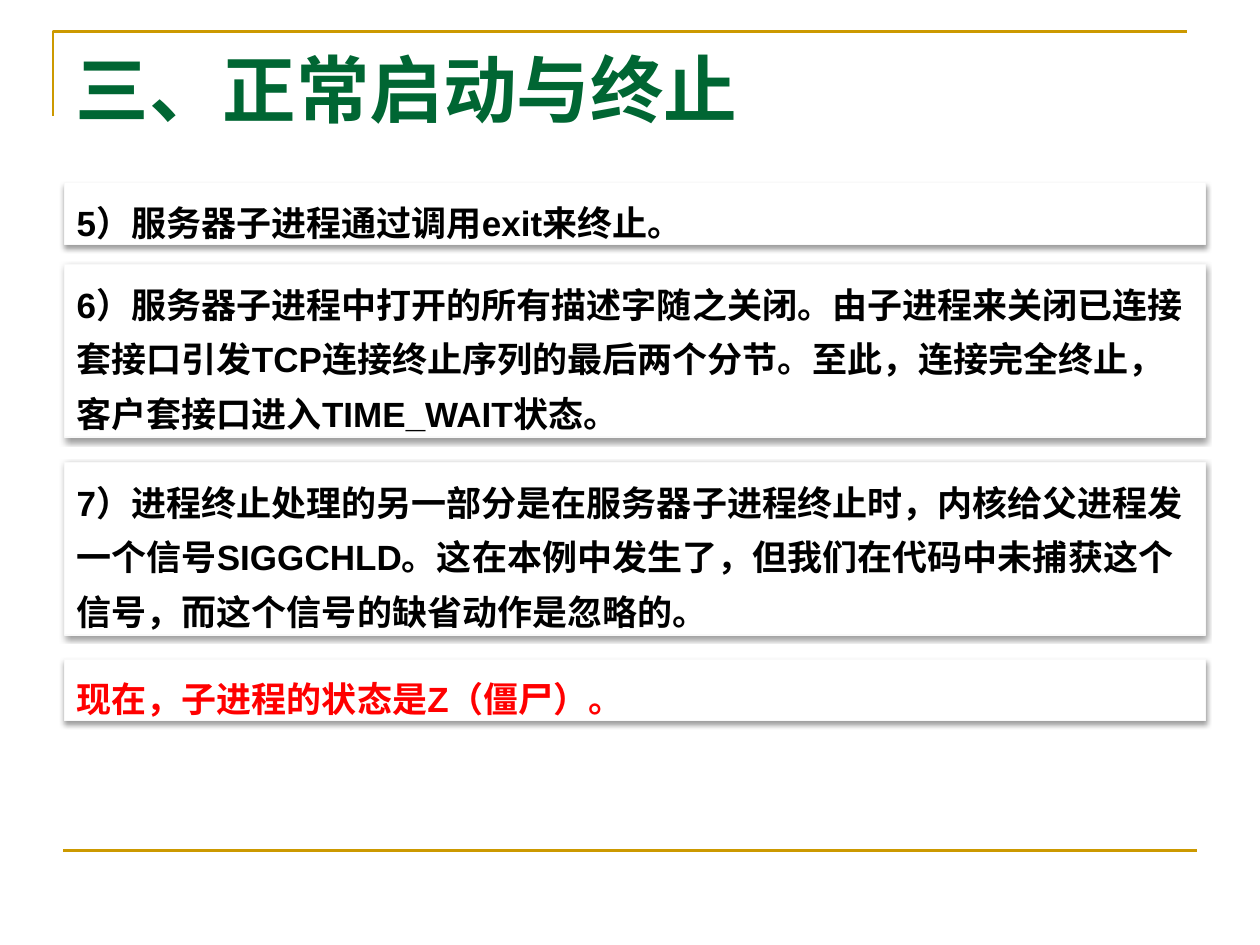
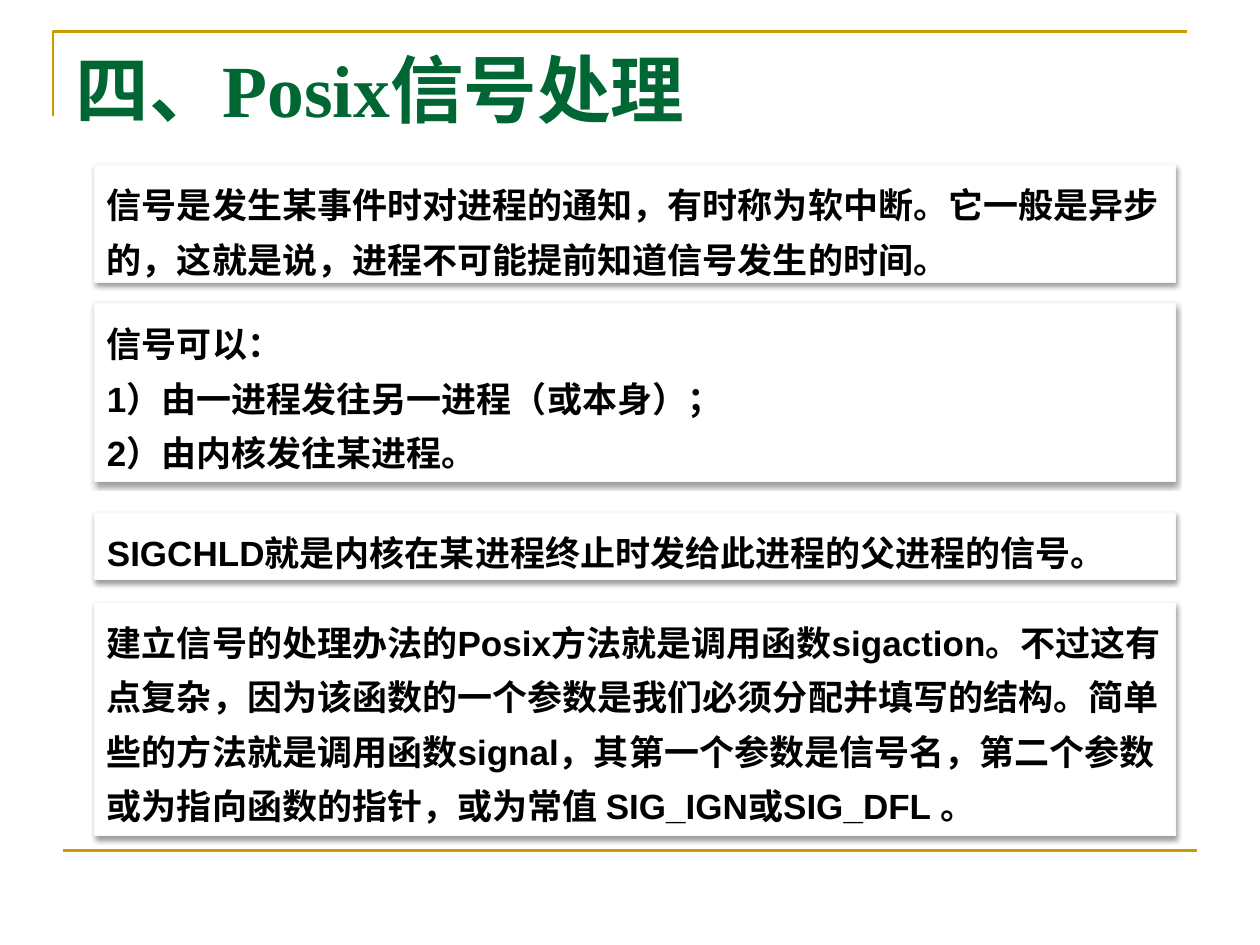
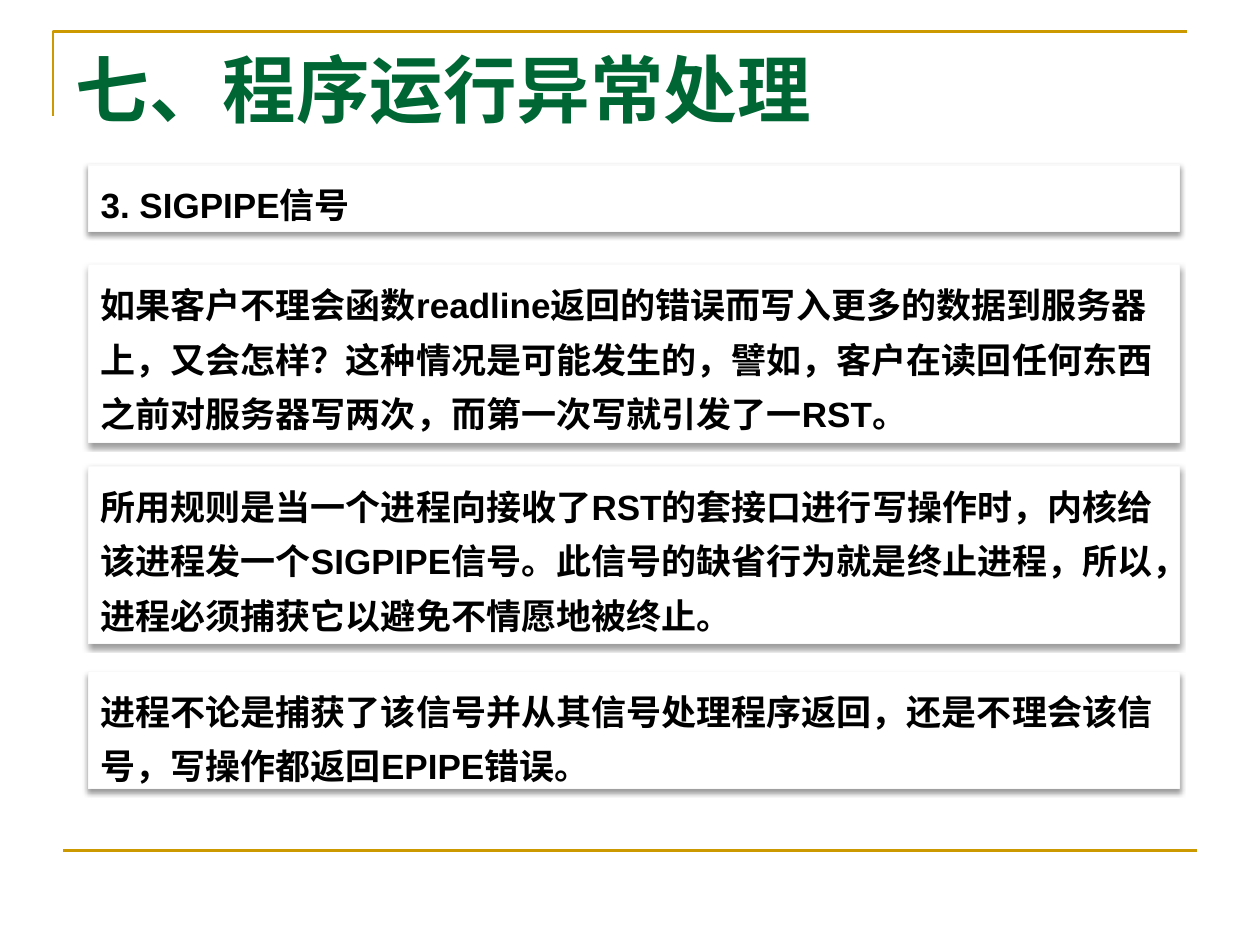
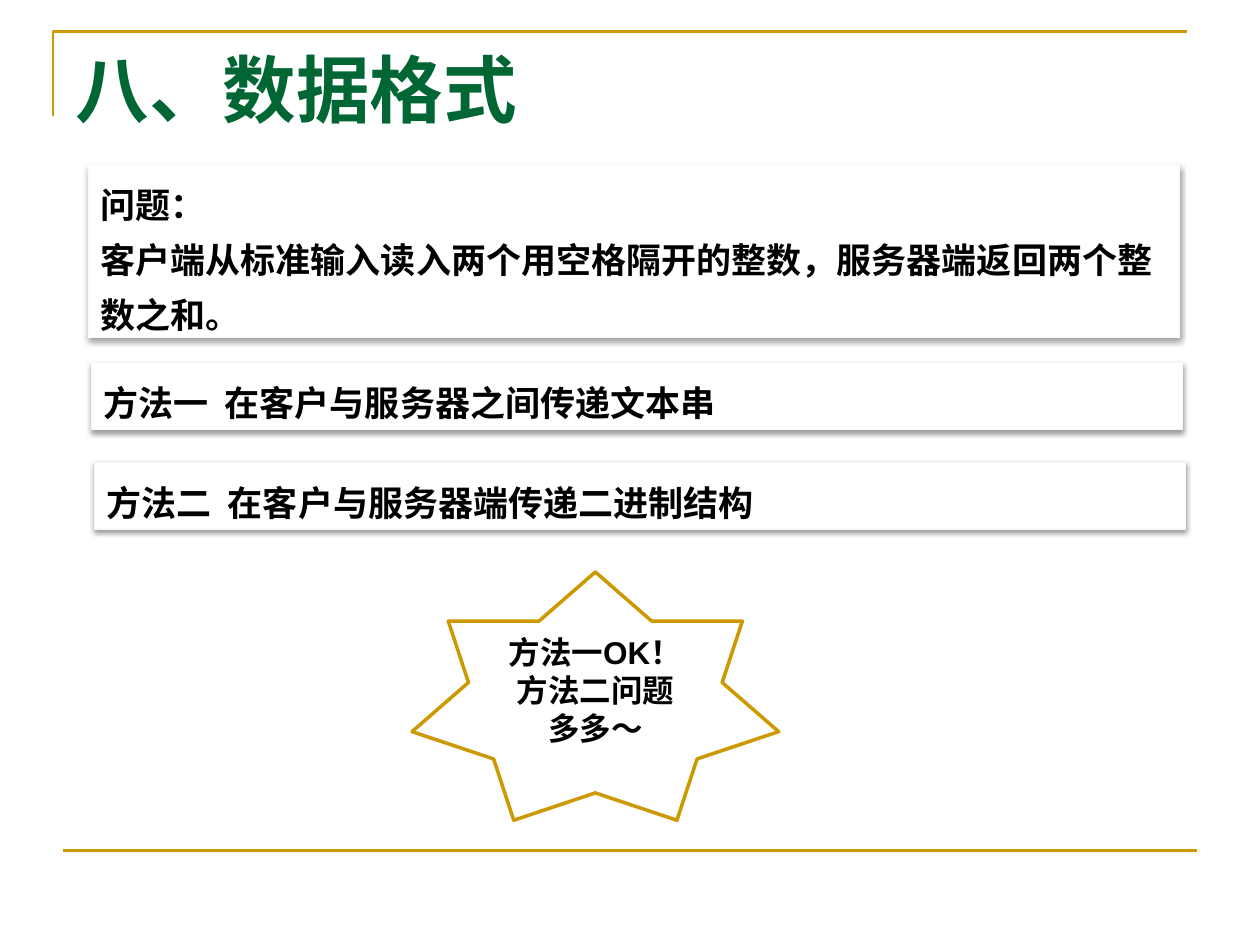
import dataclasses

import lxml.etree
import pptx
import pptx.dml.color
import pptx.enum.shapes
import pptx.enum.text
import pptx.oxml.ns
import pptx.util

SHAPE = pptx.enum.shapes.MSO_SHAPE
ALIGN = pptx.enum.text.PP_ALIGN
ANCHOR = pptx.enum.text.MSO_ANCHOR
FIT = pptx.enum.text.MSO_AUTO_SIZE
inch = pptx.util.Inches
qn = pptx.oxml.ns.qn


@dataclasses.dataclass(frozen=True)
class Theme:
    gold: str = "CC9900"
    green: str = "006633"
    black: str = "000000"
    red: str = "FF0000"
    white: str = "FFFFFF"
    edge: str = "F9F9F9"
    serif: str = "Times New Roman"
    sans: str = "Arial"
    head: int = 42
    body: int = 20
    star: int = 18
    rule: float = 1.5
    space: float = 1.3


THEME = Theme()
WIDE, HIGH = 10, 7.5
ROW = 0.44  # height of one text line in a card
TIGHT, ROOMY = 0.05, 0.09  # extra card height

# Each card: top, text lines, extra height, paragraphs, and a colour if not black
SLIDES = [
    dict(title="三、正常启动与终止", left=0.51, width=9.06, cards=[
        (1.45, 1, TIGHT, ["5）服务器子进程通过调用exit来终止。"]),
        (2.1, 3, TIGHT, ["6）服务器子进程中打开的所有描述字随之关闭。由子进程来关闭已连接"
                         "套接口引发TCP连接终止序列的最后两个分节。至此，连接完全终止，"
                         "客户套接口进入TIME_WAIT状态。"]),
        (3.67, 3, TIGHT, ["7）进程终止处理的另一部分是在服务器子进程终止时，内核给父进程发"
                          "一个信号SIGGCHLD。这在本例中发生了，但我们在代码中未捕获这个"
                          "信号，而这个信号的缺省动作是忽略的。"]),
        (5.23, 1, TIGHT, ["现在，子进程的状态是Z（僵尸）。"], THEME.red),
    ]),
    dict(title="四、Posix信号处理", left=0.75, width=8.58, cards=[
        (1.31, 2, TIGHT, ["信号是发生某事件时对进程的通知，有时称为软中断。它一般是异步"
                          "的，这就是说，进程不可能提前知道信号发生的时间。"]),
        (2.41, 3, ROOMY, ["信号可以：",
                          "1）由一进程发往另一进程（或本身）；",
                          "2）由内核发往某进程。"]),
        (4.07, 1, ROOMY, ["SIGCHLD就是内核在某进程终止时发给此进程的父进程的信号。"]),
        (4.78, 4, ROOMY, ["建立信号的处理办法的Posix方法就是调用函数sigaction。不过这"
                          "有点复杂，因为该函数的一个参数是我们必须分配并填写的结构。简"
                          "单些的方法就是调用函数signal，其第一个参数是信号名，第二个"
                          "参数或为指向函数的指针，或为常值 SIG_IGN或SIG_DFL 。"]),
    ]),
    dict(title="七、程序运行异常处理", left=0.7, width=8.66, cards=[
        (1.31, 1, ROOMY, ["3. SIGPIPE信号"]),
        (2.1, 3, ROOMY, ["如果客户不理会函数readline返回的错误而写入更多的数据到服务器"
                         "上，又会怎样？这种情况是可能发生的，譬如，客户在读回任何东西"
                         "之前对服务器写两次，而第一次写就引发了一RST。"]),
        (3.7, 3, ROOMY, ["所用规则是当一个进程向接收了RST的套接口进行写操作时，内核"
                         "给该进程发一个SIGPIPE信号。此信号的缺省行为就是终止进程，"
                         "所以，进程必须捕获它以避免不情愿地被终止。"]),
        (5.33, 2, TIGHT, ["进程不论是捕获了该信号并从其信号处理程序返回，还是不理会该信"
                          "号，写操作都返回EPIPE错误。"]),
    ]),
    dict(title="八、数据格式", left=0.7, width=8.66, step=0.025, cards=[
        (1.31, 3, TIGHT, ["问题：",
                          "客户端从标准输入读入两个用空格隔开的整数，服务器端返回两个整"
                          "数之和。"]),
        (2.88, 1, ROOMY, ["方法一  在客户与服务器之间传递文本串"]),
        (3.67, 1, ROOMY, ["方法二  在客户与服务器端传递二进制结构"]),
    ], star=["方法一OK！", "方法二问题多多～"]),
]


def paint(hue):
    return pptx.dml.color.RGBColor.from_string(hue)


def write(shape, texts, size=THEME.body, font=THEME.sans, hue=THEME.black,
          align=ALIGN.LEFT, anchor=ANCHOR.TOP, fit=FIT.NONE, space=None):
    frame = shape.text_frame
    frame.word_wrap = True
    frame.vertical_anchor = anchor
    frame.auto_size = fit
    frame.text = "\n".join(texts)
    for para in frame.paragraphs:
        para.alignment = align
        para.line_spacing = space
        for run in para.runs:
            run.font.size = pptx.util.Pt(size)
            run.font.name = font
            run.font.bold = True
            run.font.color.rgb = paint(hue)


def stroke(line, hue, width):
    line.color.rgb = paint(hue)
    line.width = pptx.util.Pt(width)


def block(slide, kind, box, hue, width):
    shape = slide.shapes.add_shape(kind, *map(inch, box))
    shape.shadow.inherit = False
    shape.fill.solid()
    shape.fill.fore_color.rgb = paint(THEME.white)
    stroke(shape.line, hue, width)
    return shape


def shade(shape):
    """Give the shape a soft shadow just below it."""
    effects = shape.element.find(".//" + qn("a:effectLst"))
    outer = lxml.etree.SubElement(effects, qn("a:outerShdw"), blurRad="40000",
                                  dist="20000", dir="5400000", rotWithShape="0")
    black = lxml.etree.SubElement(outer, qn("a:srgbClr"), val=THEME.black)
    lxml.etree.SubElement(black, qn("a:alpha"), val="38000")


def dress(layout, slide):
    """Set the title's place and the gold rules on the layout, drawn by way of a slide."""
    title = layout.placeholders[0]
    title.left, title.top, title.width, title.height = map(inch, (0.5, 0.3, 8.28, 1.25))

    pen = slide.shapes.build_freeform(inch(0.42), inch(0.92))
    pen.add_line_segments([(inch(0.42), inch(0.25)), (inch(9.42), inch(0.25))], close=False)
    corner = pen.convert_to_shape()
    corner.shadow.inherit = False
    corner.fill.background()
    stroke(corner.line, THEME.gold, THEME.rule)

    low = HIGH * 0.9
    foot = slide.shapes.add_connector(pptx.enum.shapes.MSO_CONNECTOR.STRAIGHT,
                                      *map(inch, (0.5, low, WIDE - 0.5, low)))
    stroke(foot.line, THEME.gold, THEME.rule)
    lxml.etree.SubElement(foot.element.find(qn("p:spPr")), qn("a:effectLst"))

    for key, part in enumerate((corner, foot), 20):
        part.element.find(".//" + qn("p:cNvPr")).set("id", str(key))
        layout.shapes.element.append(part.element)


def fill(slide, page):
    write(slide.shapes.title, [page["title"]], size=THEME.head,
          font=THEME.serif, hue=THEME.green)
    for num, (top, lines, extra, texts, *hue) in enumerate(page["cards"]):
        left = page["left"] + num * page.get("step", 0)
        box = left, top, page["width"], lines * ROW + extra
        card = block(slide, SHAPE.RECTANGLE, box, THEME.edge, 0.75)
        shade(card)
        write(card, texts, hue=hue[0] if hue else THEME.black,
              fit=FIT.SHAPE_TO_FIT_TEXT, space=THEME.space)
    if "star" in page:
        star = block(slide, SHAPE.STAR_7_POINT, (3.27, 4.54, 2.91, 1.97), THEME.gold, 2)
        write(star, page["star"], size=THEME.star, align=ALIGN.CENTER, anchor=ANCHOR.MIDDLE)


def main():
    deck = pptx.Presentation()
    deck.slide_width, deck.slide_height = inch(WIDE), inch(HIGH)
    layout = deck.slide_layouts[5]
    for num, page in enumerate(SLIDES):
        slide = deck.slides.add_slide(layout)
        if num == 0:
            dress(layout, slide)
        fill(slide, page)
    deck.save("out.pptx")


if __name__ == "__main__":
    main()
